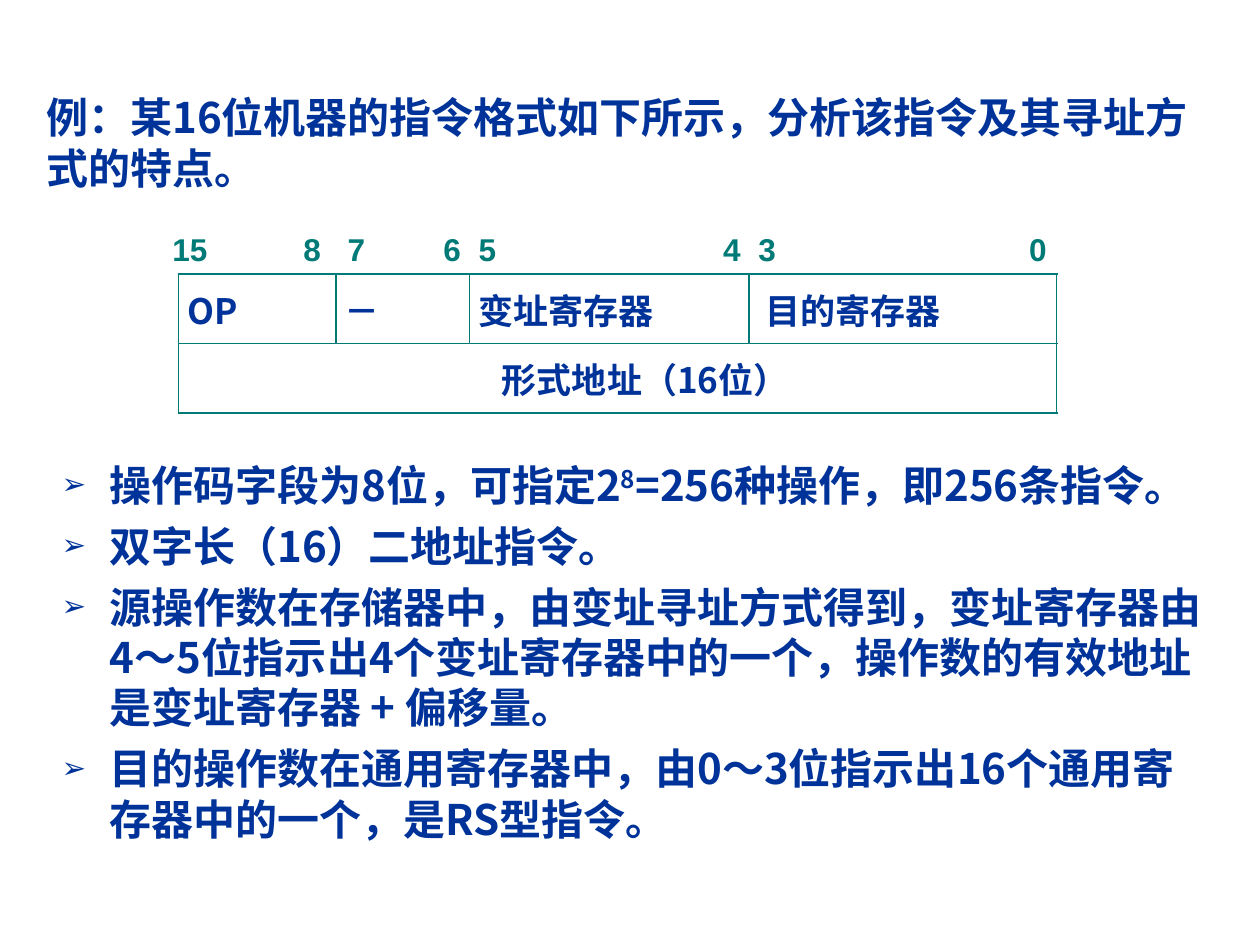
from dataclasses import dataclass
from typing import NamedTuple

from lxml.etree import SubElement
from pptx import Presentation
from pptx.dml.color import RGBColor
from pptx.enum.text import MSO_ANCHOR as Anchor
from pptx.enum.text import MSO_AUTO_SIZE as AutoSize
from pptx.enum.text import PP_ALIGN as Align
from pptx.oxml.ns import qn
from pptx.util import Inches, Pt

PAGE_WIDTH, PAGE_HEIGHT = Inches(10), Inches(7.5)


@dataclass(frozen=True)
class Theme:
    ink: str = "003399"
    frame: str = "007A77"
    body_font: str = "Noto Sans CJK SC"
    label_font: str = "Arial"
    body_size: int = 24
    cell_size: int = 20
    label_size: int = 18
    border: float = 1.08
    gap: int = 6


class Area(NamedTuple):
    left: float
    top: float
    width: float
    height: float


class Style(NamedTuple):
    font: str
    size: int
    color: str


class Field(NamedTuple):
    name: str
    width: float
    high_bit: str
    low_bit: str
    high_stop: float
    low_stop: float
    indent: float = 0


class Span(NamedTuple):
    text: str
    baseline: int = 0


THEME = Theme()
BODY = Style(THEME.body_font, THEME.body_size, THEME.ink)
CELL = Style(THEME.body_font, THEME.cell_size, THEME.ink)
LABEL = Style(THEME.label_font, THEME.label_size, THEME.frame)

TITLE_AREA = Area(2.7, 9.07, 95, 12.53)
TABLE_AREA = Area(14.17, 29.03, 69.7, 14.67)
LABEL_AREA = Area(12.7, 23.67, 71.9, 5.33)
NOTES_AREA = Area(3.9, 47.93, 93.3, 42)
HANGING = 3.8

TITLE = "例：某16位机器的指令格式如下所示，分析该指令及其寻址方式的特点。"
FIELDS = [
    Field("OP", 12.5, "15", "8", 0, 10.4),
    Field("－", 10.6, "7", "6", 13.9, 21.5),
    Field("变址寄存器", 22.2, "5", "4", 24.3, 43.7),
    Field("目的寄存器", 24.4, "3", "0", 46.5, 68, 0.6),
]
ADDRESS = "形式地址（16位）"
ADDRESS_INDENT = 4.4
NOTES = [
    [Span("操作码字段为8位，可指定2"), Span("8", 30), Span("=256种操作，即256条指令。")],
    [Span("双字长（16）二地址指令。")],
    [Span("源操作数在存储器中，由变址寻址方式得到，变址寄存器由4～5位指示出"
          "4个变址寄存器中的一个，操作数的有效地址是变址寄存器 + 偏移量。")],
    [Span("目的操作数在通用寄存器中，由0～3位指示出16个通用寄存器中的一个，是RS型指令。")],
]


def across(percent: float) -> int:
    return round(PAGE_WIDTH * percent / 100)


def down(percent: float) -> int:
    return round(PAGE_HEIGHT * percent / 100)


def place(area: Area) -> tuple[int, int, int, int]:
    return across(area.left), down(area.top), across(area.width), down(area.height)


def assign(target, values: dict) -> None:
    for name, value in values.items():
        setattr(target, name, value)


def write(para, spans: list[Span], style: Style) -> None:
    for span in spans:
        run = para.add_run()
        run.text = span.text
        assign(run.font, {"name": style.font, "size": Pt(style.size), "bold": True})
        run.font.color.rgb = RGBColor.from_string(style.color)
        properties = run._r.get_or_add_rPr()
        SubElement(properties, qn("a:ea"), typeface=style.font)
        if span.baseline:
            properties.set("baseline", str(span.baseline * 1000))


def add_box(page, area: Area, auto_size: AutoSize):
    frame = page.shapes.add_textbox(*place(area)).text_frame
    assign(frame, {"word_wrap": True, "auto_size": auto_size})
    return frame


def add_bullet(para, color: str) -> None:
    properties = para._p.get_or_add_pPr()
    properties.set("marL", str(across(HANGING)))
    properties.set("indent", str(-across(HANGING)))
    properties.set("hangingPunct", "0")
    SubElement(SubElement(properties, qn("a:buClr")), qn("a:srgbClr"), val=color)
    SubElement(properties, qn("a:buSzPct"), val="70000")
    SubElement(properties, qn("a:buFont"), typeface=THEME.label_font)
    SubElement(properties, qn("a:buChar"), char="➢")


def add_title(page) -> None:
    frame = add_box(page, TITLE_AREA, AutoSize.NONE)
    write(frame.paragraphs[0], [Span(TITLE)], BODY)


def add_bit_labels(page) -> None:
    para = add_box(page, LABEL_AREA, AutoSize.SHAPE_TO_FIT_TEXT).paragraphs[0]
    stops = [stop for field in FIELDS for stop in (field.high_stop, field.low_stop)]
    bits = [bit for field in FIELDS for bit in (field.high_bit, field.low_bit)]
    tabs = SubElement(para._p.get_or_add_pPr(), qn("a:tabLst"))
    for stop in stops[1:]:
        SubElement(tabs, qn("a:tab"), pos=str(across(stop)), algn="l")
    write(para, [Span("\t".join(bits))], LABEL)


def format_cell(cell) -> None:
    assign(cell, {
        "vertical_anchor": Anchor.MIDDLE,
        "margin_left": Inches(0.07), "margin_right": Inches(0.07),
        "margin_top": Inches(0.05), "margin_bottom": Inches(0.05),
    })
    properties = cell._tc.get_or_add_tcPr()
    for side in ("lnL", "lnR", "lnT", "lnB"):
        line = SubElement(properties, qn(f"a:{side}"), w=str(Pt(THEME.border)))
        fill = SubElement(line, qn("a:solidFill"))
        SubElement(fill, qn("a:srgbClr"), val=THEME.frame)
    cell.fill.background()


def fill_cell(cell, text: str, align: Align, indent: float) -> None:
    para = cell.text_frame.paragraphs[0]
    para.alignment = align
    if indent:
        para._p.get_or_add_pPr().set("marL", str(across(indent)))
        para._p.get_or_add_pPr().set("indent", "0")
    write(para, [Span(text)], CELL)


def add_format_table(page) -> None:
    table = page.shapes.add_table(2, len(FIELDS), *place(TABLE_AREA)).table
    assign(table, {"first_row": False, "horz_banding": False})
    for cell in table.iter_cells():
        format_cell(cell)
    for index, field in enumerate(FIELDS):
        table.columns[index].width = across(field.width)
        fill_cell(table.cell(0, index), field.name, Align.JUSTIFY, field.indent)
    table.cell(1, 0).merge(table.cell(1, len(FIELDS) - 1))
    fill_cell(table.cell(1, 0), ADDRESS, Align.CENTER, ADDRESS_INDENT)


def add_notes(page) -> None:
    frame = add_box(page, NOTES_AREA, AutoSize.SHAPE_TO_FIT_TEXT)
    for index, spans in enumerate(NOTES):
        para = frame.add_paragraph() if index else frame.paragraphs[0]
        add_bullet(para, THEME.ink)
        if index:
            para.space_before = Pt(THEME.gap)
        write(para, spans, BODY)


def main() -> None:
    deck = Presentation()
    assign(deck, {"slide_width": PAGE_WIDTH, "slide_height": PAGE_HEIGHT})
    page = deck.slides.add_slide(deck.slide_layouts[6])
    for draw in (add_title, add_format_table, add_bit_labels, add_notes):
        draw(page)
    deck.save("out.pptx")


if __name__ == "__main__":
    main()
